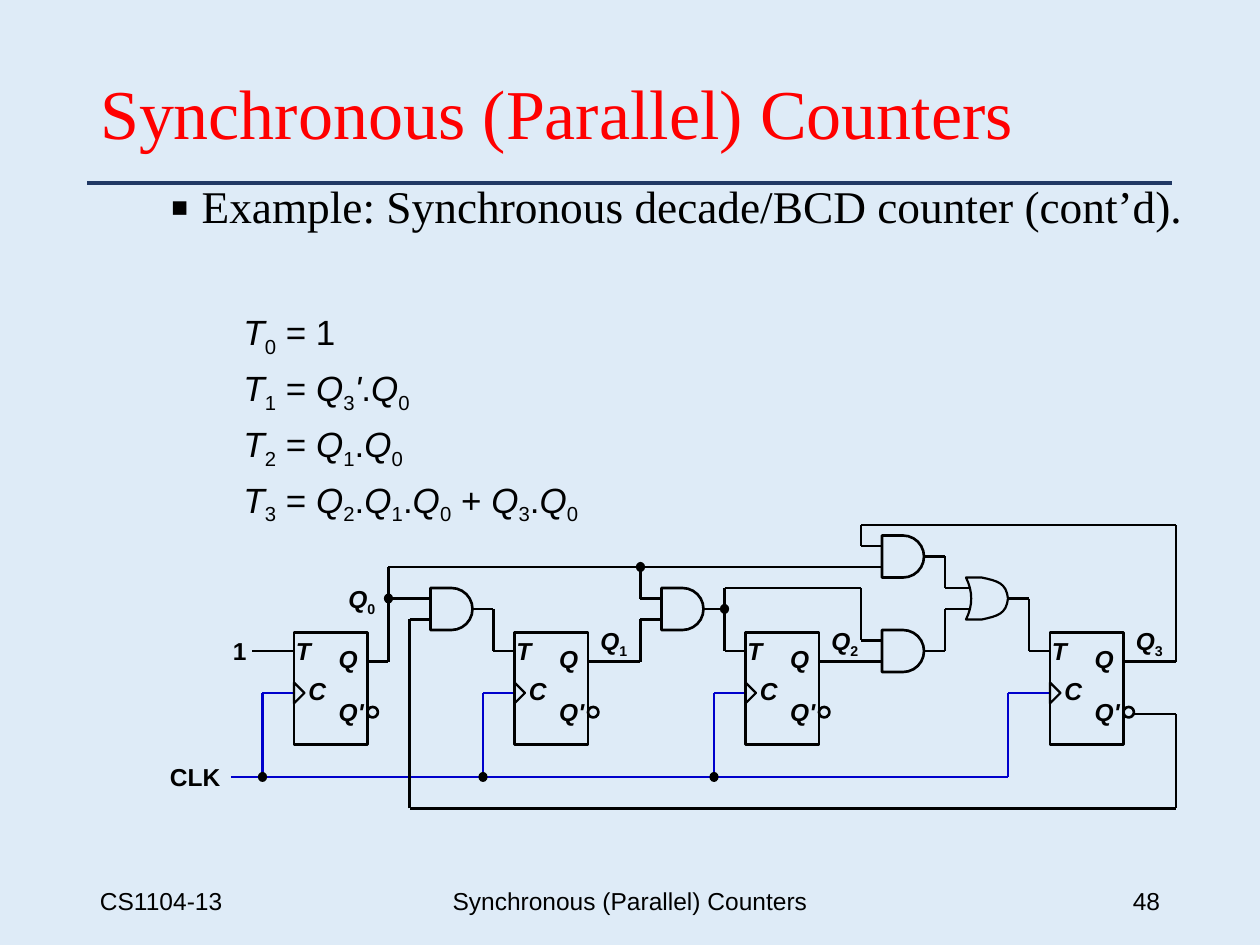
from itertools import groupby

from lxml import etree
from pptx import Presentation
from pptx import util as u
from pptx.dml.color import RGBColor
from pptx.enum import shapes, text
from pptx.oxml.ns import qn

Pt = u.Pt
KIND = shapes.MSO_SHAPE
ALIGN = text.PP_ALIGN
HUES = {"page": "DEEBF7", "rule": "203864", "title": "FF0000",
        "ink": "000000", "clock": "0000CC"}
SANS, SERIF = "Arial", "Times New Roman"


def hue(name):
    return RGBColor.from_string(HUES[name])


def curve(a, b, c, d, steps=8):
    """Points along a cubic Bezier curve, without its start."""
    def at(t, i):
        s = 1 - t
        return (s**3 * a[i] + 3 * s * s * t * b[i]
                + 3 * s * t * t * c[i] + t**3 * d[i])
    return [(at(n / steps, 0), at(n / steps, 1)) for n in range(1, steps + 1)]


class Board:
    """Holds the current slide and draws each kind of element on it."""

    def __init__(self, slide):
        self.slide = slide
        self.shapes = slide.shapes
        fill = slide.background.fill
        fill.solid()
        fill.fore_color.rgb = hue("page")

    def run(self, para, words, size, face=SANS, color="ink",
            bold=False, slant=False, sub=False):
        run = para.add_run()
        run.text = words
        font = run.font
        font.size, font.name, font.bold, font.italic = Pt(size), face, bold, slant
        font.color.rgb = hue(color)
        if sub:
            run._r.get_or_add_rPr().set("baseline", "-25000")

    def math(self, para, source, size, bold=False):
        """Letters and primes are italic; a character after _ is a subscript."""
        def kind(pair):
            if pair[0] == "_":
                return "sub"
            return "var" if pair[1].isalpha() or pair[1] == "'" else "plain"

        pairs = [p for p in zip(" " + source, source) if p[1] != "_"]
        for name, part in groupby(pairs, kind):
            self.run(para, "".join(ch for _, ch in part), size, bold=bold,
                     slant=name == "var", sub=name == "sub")

    def holder(self, index, x, y, w, h, anchor):
        shape = self.slide.placeholders[index]
        shape.left, shape.top, shape.width, shape.height = map(Pt, (x, y, w, h))
        frame = shape.text_frame
        frame.auto_size = text.MSO_AUTO_SIZE.NONE
        frame.vertical_anchor = anchor
        para = frame.paragraphs[0]
        para.line_spacing = 0.9
        para.space_before = Pt(0)
        para.alignment = ALIGN.LEFT
        return para

    def bullet(self, para, mark, indent):
        props = para._p.get_or_add_pPr()
        props.set("marL", str(Pt(indent)))
        props.set("indent", str(-Pt(indent)))
        for tag, key, value in (("buSzPct", "val", "120000"),
                                ("buFont", "typeface", SANS),
                                ("buChar", "char", mark)):
            etree.SubElement(props, qn("a:" + tag)).set(key, value)

    def box(self, x, y, w, h, wrap=True, grow=False):
        frame = self.shapes.add_textbox(*map(Pt, (x, y, w, h))).text_frame
        frame.word_wrap = wrap
        if grow:
            frame.auto_size = text.MSO_AUTO_SIZE.SHAPE_TO_FIT_TEXT
        return frame

    def label(self, source, x, y, w, upright=False):
        para = self.box(x, y, w, 24, wrap=False, grow=True).paragraphs[0]
        if upright:
            self.run(para, source, 14, bold=True)
        else:
            self.math(para, source, 14, bold=True)

    def foot(self, words, x, w, align):
        frame = self.box(x, 500, w, 29)
        frame.vertical_anchor = text.MSO_ANCHOR.MIDDLE
        frame.paragraphs[0].alignment = align
        self.run(frame.paragraphs[0], words, 14)

    def trim(self, shape, width, solid=False):
        shape.shadow.inherit = False
        if solid:
            shape.fill.solid()
            shape.fill.fore_color.rgb = hue("ink")
        else:
            shape.fill.background()
        shape.line.color.rgb = hue("ink")
        shape.line.width = Pt(width)
        return shape

    def form(self, kind, x, y, w, h, width=1.5, solid=False):
        shape = self.shapes.add_shape(kind, *map(Pt, (x, y, w, h)))
        return self.trim(shape, width, solid)

    def wire(self, *points, color="ink", width=1.25, gate=None):
        """Straight connectors through the points, the first leaving the gate."""
        for start, end in zip(points, points[1:]):
            line = self.shapes.add_connector(
                shapes.MSO_CONNECTOR.STRAIGHT, *map(Pt, start + end))
            line.line.color.rgb = hue(color)
            line.line.width = Pt(width)
            etree.SubElement(line._element.spPr, qn("a:effectLst"))
            if gate is not None and start == points[0]:
                line.begin_connect(gate, 3)

    def dot(self, x, y):
        self.form(KIND.OVAL, x - 2.25, y - 2.5, 4.5, 5, 0.75, solid=True)

    def and_gate(self, x, y):
        return self.form(KIND.FLOWCHART_DELAY, x, y, 24, 24)

    def or_gate(self, x, y):
        """Gate 24 points wide and high, with a curved back."""
        back = curve((0, 0), (4, 8), (4, 16), (0, 24))
        low = curve((9, 24), (18, 22), (23, 21), (24, 12))
        high = curve((24, 12), (23, 3), (18, 2), (9, 0))
        path = [(Pt(x + a), Pt(y + b)) for a, b in back + [(9, 24)] + low + high]
        maker = self.shapes.build_freeform(Pt(x), Pt(y))
        maker.add_line_segments(path, close=True)
        self.trim(maker.convert_to_shape(), 1.25)

    def flop(self, x):
        """T flip-flop whose left side is at x."""
        self.form(KIND.RECTANGLE, x, 361.5, 42, 64)
        self.form(KIND.ISOSCELES_TRIANGLE, x - 3, 393, 12, 6, 1.25).rotation = 90
        self.form(KIND.OVAL, x + 42, 404, 6, 6)
        for name, dx, y, w in (("T", -6, 360, 23), ("C", 1.2, 383, 24.5),
                               ("Q", 18.5, 364.3, 25), ("Q'", 18.5, 394.6, 30)):
            self.label(name, x + dx, y, w)


def main():
    deck = Presentation()
    deck.slide_width, deck.slide_height = Pt(720), Pt(540)
    board = Board(deck.slides.add_slide(deck.slide_layouts[1]))

    board.wire((50, 104.4), (670, 104.4), color="rule", width=2.25)
    heading = "Synchronous (Parallel) Counters"
    para = board.holder(0, 50, 29, 620, 75.5, text.MSO_ANCHOR.MIDDLE)
    board.run(para, heading, 40, SERIF, "title")
    para = board.holder(1, 90, 102, 600, 60, text.MSO_ANCHOR.TOP)
    board.bullet(para, "▪", 18)
    board.run(para, "Example: Synchronous decade/BCD counter (cont’d).", 25.9, SERIF)
    board.foot("CS1104-13", 50, 162, ALIGN.LEFT)
    board.foot(heading, 238.5, 243, ALIGN.CENTER)
    board.foot("48", 508, 162, ALIGN.RIGHT)

    frame = board.box(132, 174, 222, 117, grow=True)
    sums = ("T_0 = 1", "T_1 = Q_3'.Q_0", "T_2 = Q_1.Q_0",
            "T_3 = Q_2.Q_1.Q_0 + Q_3.Q_0")
    for n, line in enumerate(sums):
        para = frame.add_paragraph() if n else frame.paragraphs[0]
        if n:
            para.space_before = Pt(4.6)
        board.math(para, line, 20)

    # Clock line and its branches
    board.wire((132, 444), (576, 444), (576, 396), (600, 396), color="clock")
    for x in (168, 294, 426):
        board.wire((x - 18, 444), (x - 18, 396), (x, 396), color="clock")
        board.dot(x - 18, 444)

    for x in (168, 294, 426, 600):
        board.flop(x)
    first, second, upper, lower = [
        board.and_gate(x, y)
        for x, y in ((246, 336), (378, 336), (504, 306), (504, 360))]
    board.or_gate(552, 330)

    board.wire((144, 372), (168, 372))
    board.wire((210, 378), (222, 378), (222, 324), (504, 324))
    board.wire((222, 342), (246, 342))
    board.wire((648, 408), (672, 408), (672, 462), (234, 462), (234, 354), (246, 354))
    board.wire((270, 348), (282, 348), (282, 372), (294, 372), gate=first)
    board.wire((336, 378), (366, 378), (366, 354), (378, 354))
    board.wire((366, 324), (366, 342), (378, 342))
    board.wire((402, 348), (414, 348), gate=second)
    board.wire((426, 372), (414, 372), (414, 336), (492, 336), (492, 366), (504, 366))
    board.wire((468, 378), (504, 378))
    board.wire((642, 378), (672, 378), (672, 300), (492, 300), (492, 312), (504, 312))
    board.wire((528, 318), (540, 318), (540, 336), (554, 336), gate=upper)
    board.wire((528, 372), (540, 372), (540, 348), (554, 348), gate=lower)
    board.wire((576, 342), (588, 342), (588, 372), (600, 372))
    for x, y in ((222, 342), (366, 324), (414, 348)):
        board.dot(x, y)

    for name, x, y in (("Q_0", 192, 330), ("Q_1", 336, 354),
                       ("Q_2", 468, 354), ("Q_3", 642, 354)):
        board.label(name, x, y, 30)
    board.label("1", 126, 360, 22)
    board.label("CLK", 90, 432, 43, upright=True)
    deck.save("out.pptx")


if __name__ == "__main__":
    main()
